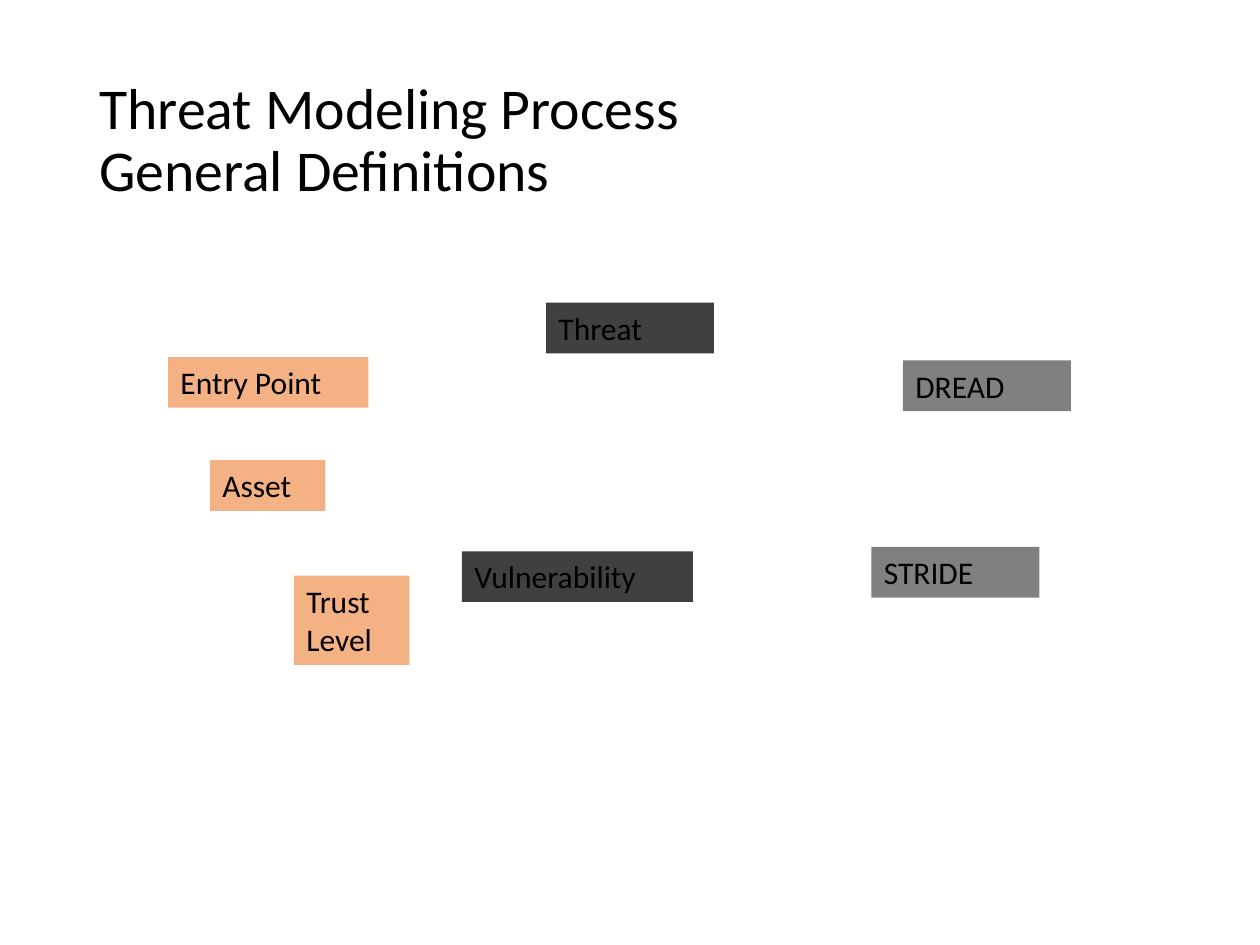
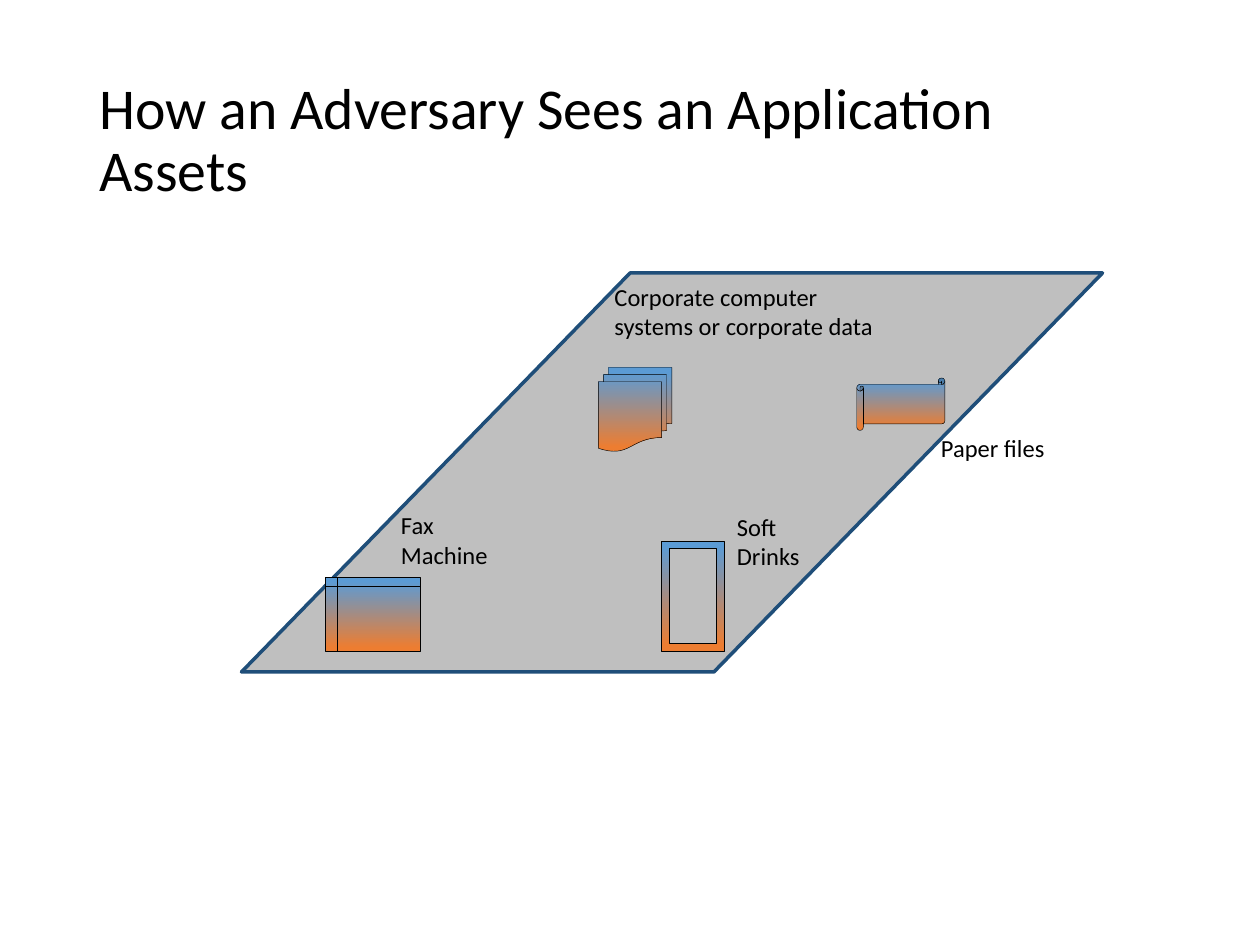
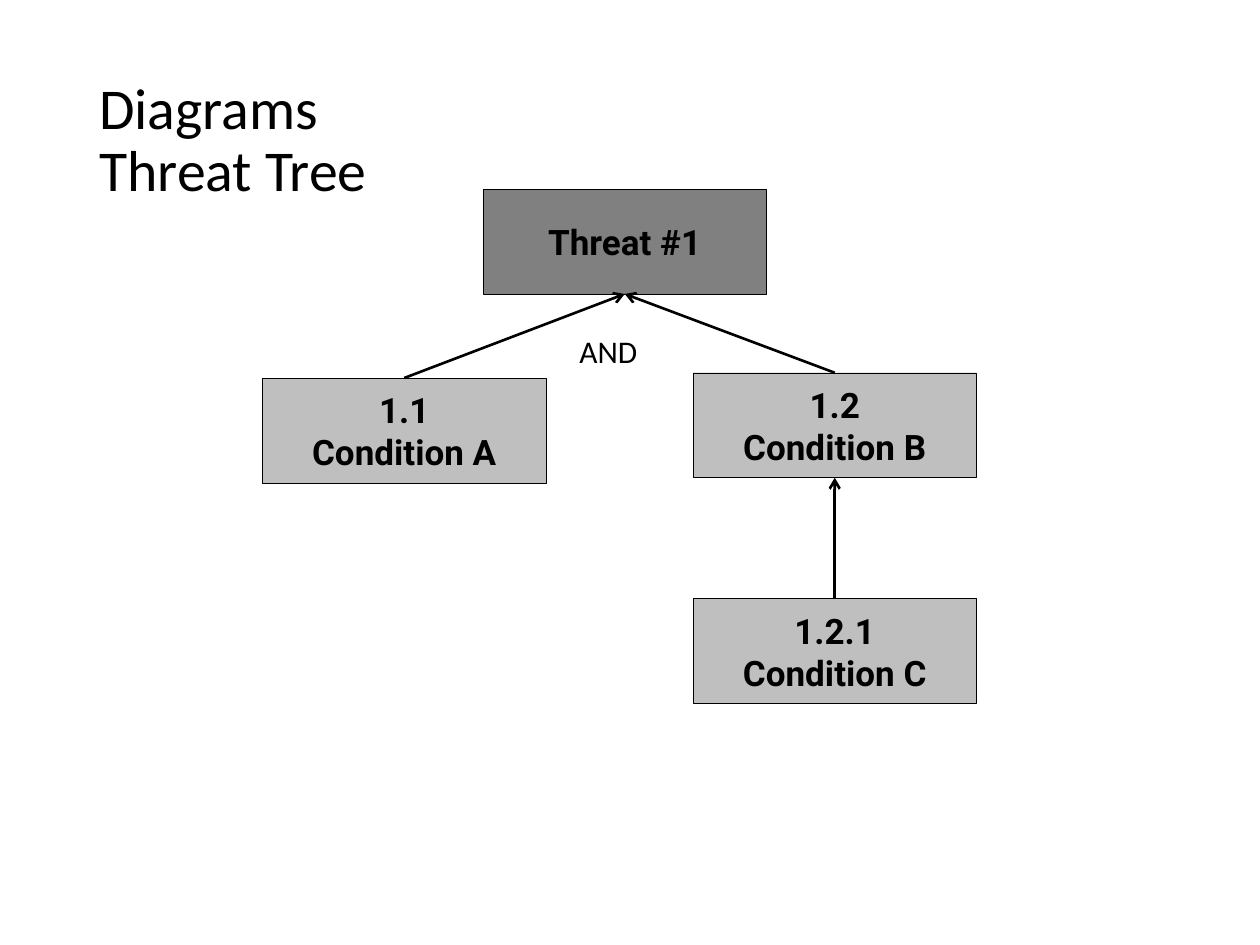
from lxml import etree
from pptx import Presentation
from pptx.dml.color import RGBColor
from pptx.enum.shapes import MSO_CONNECTOR, MSO_SHAPE
from pptx.enum.text import MSO_ANCHOR, MSO_AUTO_SIZE, PP_ALIGN
from pptx.oxml.ns import qn
from pptx.util import Pt

BLACK = RGBColor(0x00, 0x00, 0x00)
DARK = RGBColor(0x40, 0x40, 0x40)
GRAY = RGBColor(0x80, 0x80, 0x80)
LIGHT = RGBColor(0xBF, 0xBF, 0xBF)
PEACH = RGBColor(0xF4, 0xB1, 0x83)
ORANGE = RGBColor(0xED, 0x7D, 0x31)
BLUE = RGBColor(0x5B, 0x9B, 0xD5)
NAVY = RGBColor(0x1F, 0x4E, 0x79)

RECT = MSO_SHAPE.RECTANGLE
PARALLELOGRAM = MSO_SHAPE.PARALLELOGRAM
STORAGE = MSO_SHAPE.FLOWCHART_INTERNAL_STORAGE
MULTIDOCUMENT = MSO_SHAPE.FLOWCHART_MULTIDOCUMENT
FRAME = MSO_SHAPE.FRAME
SCROLL = MSO_SHAPE.HORIZONTAL_SCROLL
STRAIGHT = MSO_CONNECTOR.STRAIGHT
TOP, MIDDLE = MSO_ANCHOR.TOP, MSO_ANCHOR.MIDDLE
LEFT, CENTER = PP_ALIGN.LEFT, PP_ALIGN.CENTER
NO_AUTOFIT = MSO_AUTO_SIZE.NONE

TITLE_ONLY = 5
TOP_SITE, BOTTOM_SITE = 0, 2
TAG_H = 29
NODE_W, NODE_H = 162, 60
LABEL_W, LABEL_H = 75.6, 41


def write(sp, *lines, size=18, font="Calibri", bold=False, align=LEFT,
          anchor=TOP, spacing=None, wrap=True):
    tf = sp.text_frame
    tf.auto_size = NO_AUTOFIT
    tf.word_wrap = wrap
    tf.vertical_anchor = anchor
    for i, line in enumerate(lines):
        p = tf.paragraphs[0] if i == 0 else tf.add_paragraph()
        p.text = line
        p.alignment = align
        p.line_spacing = spacing
        for r in p.runs:
            r.font.size = Pt(size)
            r.font.name = font
            r.font.bold = bold
            r.font.color.rgb = BLACK


def add_slide(prs, title):
    s = prs.slides.add_slide(prs.slide_layouts[TITLE_ONLY])
    sp = s.shapes.title
    sp.left, sp.top, sp.width, sp.height = Pt(49.5), Pt(28.8), Pt(621), Pt(104.4)
    write(sp, title, size=33, anchor=MIDDLE, spacing=0.9)
    return s


def add_box(s, kind, x, y, w, h, fill=None, line=None, weight=0.25):
    sp = s.shapes.add_shape(kind, Pt(x), Pt(y), Pt(w), Pt(h))
    sp.shadow.inherit = False
    if fill is not None:
        sp.fill.solid()
        sp.fill.fore_color.rgb = fill
    if line is None:
        sp.line.fill.background()
    else:
        sp.line.color.rgb = line
        sp.line.width = Pt(weight)
    return sp


def add_tag(s, text, x, y, w, fill, h=TAG_H):
    write(add_box(s, RECT, x, y, w, h, fill), text)


def add_label(s, text, x, y, w=LABEL_W, h=LABEL_H, size=14):
    write(s.shapes.add_textbox(Pt(x), Pt(y), Pt(w), Pt(h)), text, size=size)


def add_asset(s, kind, x, y, w, h):
    sp = add_box(s, kind, x, y, w, h, line=BLACK)
    sp.fill.gradient()
    sp.fill.gradient_angle = 90
    for stop, position, color in zip(sp.fill.gradient_stops, (0.05, 0.95), (ORANGE, BLUE)):
        stop.position = position
        stop.color.rgb = color


def add_node(s, x, y, *lines, fill=LIGHT):
    sp = add_box(s, RECT, x, y, NODE_W, NODE_H, fill, BLACK)
    write(sp, *lines, size=20, font="Roboto", bold=True, align=CENTER,
          anchor=MIDDLE, wrap=False)
    return sp


def add_arrow(s, child, parent):
    c = s.shapes.add_connector(STRAIGHT, 0, 0, 0, 0)
    c.begin_connect(child, TOP_SITE)
    c.end_connect(parent, BOTTOM_SITE)
    c.line.color.rgb = BLACK
    c.line.width = Pt(1.5)
    etree.SubElement(c.line._get_or_add_ln(), qn("a:tailEnd"), type="arrow")
    etree.SubElement(c._element.spPr, qn("a:effectLst"))


def add_definitions(prs):
    s = add_slide(prs, "Threat Modeling Process\nGeneral Definitions")
    add_tag(s, "Asset", 120, 263, 66, PEACH)
    add_tag(s, "Entry Point", 96, 204, 114.5, PEACH)
    add_tag(s, "Trust Level", 168, 329, 66, PEACH, h=51)
    add_tag(s, "DREAD", 516, 206, 96, GRAY)
    add_tag(s, "STRIDE", 498, 312.5, 96, GRAY)
    add_tag(s, "Threat", 312, 173, 96, DARK)
    add_tag(s, "Vulnerability", 264, 315, 132, DARK)


def add_assets(prs):
    s = add_slide(prs, "How an Adversary Sees an Application\nAssets")
    floor = add_box(s, PARALLELOGRAM, 138, 156, 492, 228, LIGHT, NAVY, 2)
    floor.adjustments[0] = 0.974
    add_asset(s, STORAGE, 186, 330, 54, 42)
    add_label(s, "Corporate computer systems or corporate data", 344, 157.5, 178, 58)
    add_asset(s, MULTIDOCUMENT, 342, 210, 42, 48)
    add_label(s, "Fax Machine", 222, 288)
    add_asset(s, FRAME, 378, 309, 36, 63)
    add_label(s, "Soft Drinks", 414, 289)
    add_asset(s, SCROLL, 489.6, 216, 50.4, 30)
    add_label(s, "Paper files", 530.6, 244)


def add_threat_tree(prs):
    s = add_slide(prs, "Diagrams\nThreat Tree")
    threat = add_node(s, 276, 108, "Threat #1", fill=GRAY)
    cond_a = add_node(s, 150, 216, "1.1", "Condition A")
    cond_b = add_node(s, 396, 213, "1.2", "Condition B")
    cond_c = add_node(s, 396, 342, "1.2.1", "Condition C")
    for child, parent in ((cond_b, threat), (cond_a, threat), (cond_c, cond_b)):
        add_arrow(s, child, parent)
    add_label(s, "AND", 324, 186, 54.7, TAG_H, size=18)


def main():
    prs = Presentation()
    prs.slide_width, prs.slide_height = Pt(720), Pt(540)
    add_definitions(prs)
    add_assets(prs)
    add_threat_tree(prs)
    prs.save("out.pptx")


if __name__ == "__main__":
    main()
